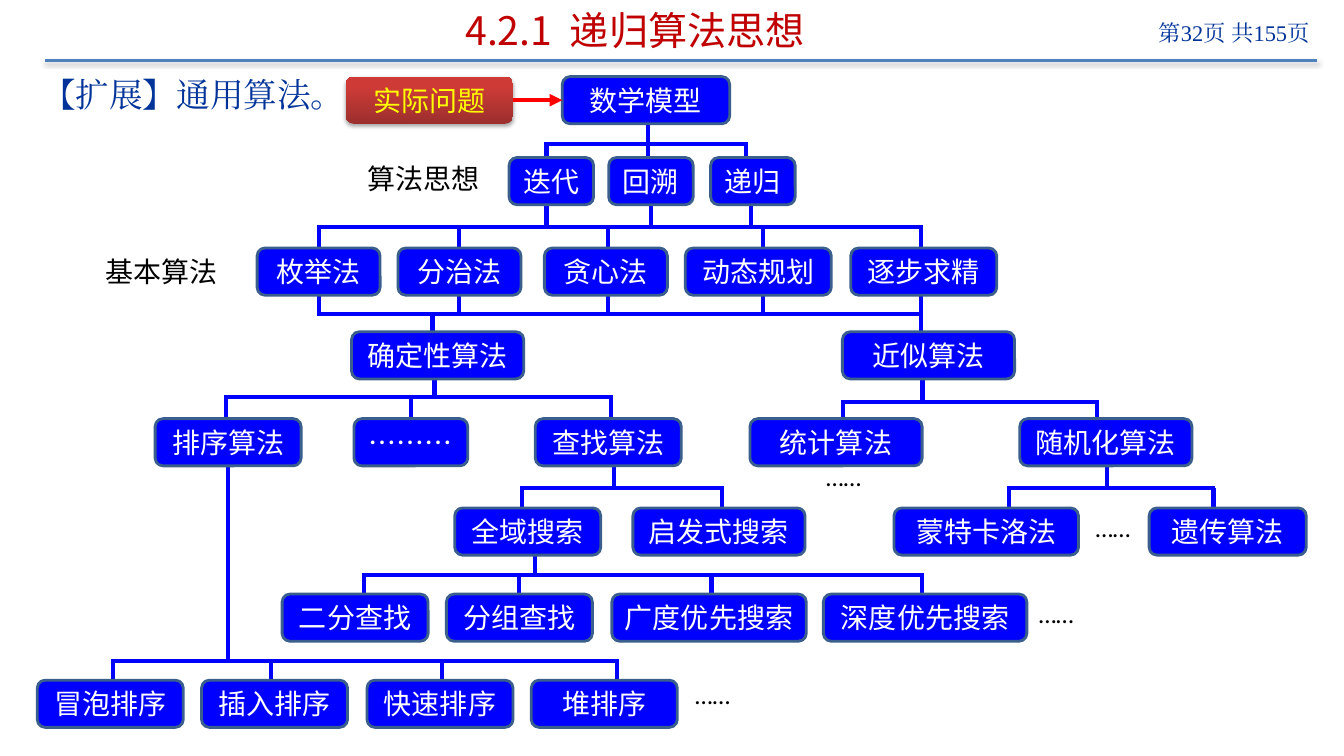
import lxml.etree
import pptx
import pptx.dml.color
import pptx.enum.shapes
import pptx.enum.text
import pptx.oxml.ns
import pptx.util
from dataclasses import dataclass

Cm = pptx.util.Cm
Pt = pptx.util.Pt
ALIGN = pptx.enum.text.PP_ALIGN
ANCHOR = pptx.enum.text.MSO_ANCHOR


@dataclass(frozen=True)
class Theme:
    heading: str = "C00000"
    navy: str = "003399"
    rule: str = "4F81BD"
    node: str = "0000FF"
    node_edge: str = "3A5F8C"
    node_text: str = "FFFFFF"
    problem_dark: str = "9C2F2D"
    problem_light: str = "CE3B37"
    problem_text: str = "FFFF00"
    arrow: str = "FF0000"
    ink: str = "000000"
    sans: str = "Noto Sans CJK SC"
    serif: str = "Times New Roman"
    dots: str = "Calibri"
    title_size: int = 28
    lead_size: int = 24
    node_size: int = 20
    dots_size: int = 18
    page_size: int = 16


THEME = Theme()

# All lengths below are centimetres.
TITLE = "4.2.1  递归算法思想"
PAGE = "第32页 共155页"
LEAD = "【扩展】通用算法。"
PROBLEM = "实际问题"
PROBLEM_LEFT, PROBLEM_WIDTH = 8.71, 4.22
NODE_HEIGHT = 1.19

# Row: top, then (text, left, width) of each node
ROWS = {
    "model": (1.93, [("数学模型", 14.17, 4.22)]),
    "ideas": (3.97, [("迭代", 12.83, 2.13), ("回溯", 15.34, 2.13), ("递归", 17.91, 2.13)]),
    "basics": (6.25, [("枚举法", 6.48, 3.1), ("分治法", 10.03, 3.1), ("贪心法", 13.72, 3.1),
                      ("动态规划", 17.27, 3.68), ("逐步求精", 21.44, 3.68)]),
    "classes": (8.36, [("确定性算法", 8.86, 4.34), ("近似算法", 21.23, 4.34)]),
    "families": (10.55, [("排序算法", 3.91, 3.68), ("………", 8.92, 2.87), ("查找算法", 13.49, 3.68),
                         ("统计算法", 18.9, 4.34), ("随机化算法", 25.7, 4.34)]),
    "searches": (12.8, [("全域搜索", 11.46, 3.68), ("启发式搜索", 15.95, 4.34),
                        ("蒙特卡洛法", 22.53, 4.65), ("遗传算法", 28.96, 3.96)]),
    "methods": (14.97, [("二分查找", 7.11, 3.68), ("分组查找", 11.25, 3.68),
                        ("广度优先搜索", 15.42, 4.9), ("深度优先搜索", 20.75, 5.13)]),
    "sorts": (17.14, [("冒泡排序", 0.94, 3.68), ("插入排序", 5.08, 3.68),
                      ("快速排序", 9.25, 3.68), ("堆排序", 13.39, 3.68)]),
}

BASIC_STEMS = [8.03, 11.56, 15.32, 19.23, 23.22]
# Branch: upper row, stems above the bar, bar height, lower row, stems below the bar
BRANCHES = [
    ("model", [16.33], 3.62, "ideas", [13.77, 16.33, 18.8]),
    ("ideas", [13.77, 16.41, 18.92], 5.72, "basics", BASIC_STEMS),
    ("basics", BASIC_STEMS, 7.92, "classes", [10.9, 23.22]),
    ("classes", [10.95], 10.01, "families", [5.7, 10.36, 15.4]),
    ("classes", [23.25], 10.13, "families", [21.25, 27.64]),
    ("families", [15.47], 12.29, "searches", [13.16, 18.19]),
    ("families", [27.9], 12.29, "searches", [25.43, 30.58]),
    ("searches", [13.49], 14.49, "methods", [9.17, 13.08, 17.93, 23.23]),
    ("families", [5.74], 16.66, "sorts", [2.84, 6.83, 11.13, 15.55]),
]
ROW_LABELS = [("算法思想", 8.99, 3.94), ("基本算法", 2.39, 6.3)]
MORE = "……"
MORE_SPOTS = [(27.36, 12.78), (20.57, 11.51), (25.93, 14.96), (17.27, 16.99)]


def rgb(color):
    return pptx.dml.color.RGBColor.from_string(color)


def write(frame, text, *, size, color, font=THEME.sans, align=ALIGN.LEFT,
          anchor=ANCHOR.TOP, wrap=True, side_margin=0.25):
    frame.word_wrap = wrap
    frame.vertical_anchor = anchor
    frame.margin_left = frame.margin_right = Cm(side_margin)
    paragraph = frame.paragraphs[0]
    paragraph.alignment = align
    run = paragraph.add_run()
    run.text = text
    run.font.size = Pt(size)
    run.font.name = font
    run.font.color.rgb = rgb(color)
    east_asian = lxml.etree.SubElement(run.font._element, pptx.oxml.ns.qn("a:ea"))
    east_asian.set("typeface", font)


def label(slide, text, left, top, width, height, **style):
    box = slide.shapes.add_textbox(Cm(left), Cm(top), Cm(width), Cm(height))
    write(box.text_frame, text, **style)


def set_shadow(shape, opacity=None, distance=0):
    """Give the shape a soft downward shadow, or none without an opacity."""
    qn = pptx.oxml.ns.qn
    properties = shape._element.spPr
    for old in properties.findall(qn("a:effectLst")):
        properties.remove(old)
    effects = lxml.etree.SubElement(properties, qn("a:effectLst"))
    if opacity:
        shadow = lxml.etree.SubElement(effects, qn("a:outerShdw"), blurRad=str(Pt(3.1)),
                                       dist=str(Pt(distance)), dir="5400000", rotWithShape="0")
        black = lxml.etree.SubElement(shadow, qn("a:srgbClr"), val=THEME.ink)
        lxml.etree.SubElement(black, qn("a:alpha"), val=str(opacity * 1000))


def line(slide, x1, y1, x2, y2, color=THEME.node, width=3):
    connector = slide.shapes.add_connector(
        pptx.enum.shapes.MSO_CONNECTOR.STRAIGHT, Cm(x1), Cm(y1), Cm(x2), Cm(y2))
    connector.line.color.rgb = rgb(color)
    connector.line.width = Pt(width)
    set_shadow(connector)
    return connector


def node(slide, text, left, top, width, color=THEME.node_text):
    shape = slide.shapes.add_shape(pptx.enum.shapes.MSO_SHAPE.ROUNDED_RECTANGLE,
                                   Cm(left), Cm(top), Cm(width), Cm(NODE_HEIGHT))
    shape.shadow.inherit = False
    shape.fill.solid()
    shape.fill.fore_color.rgb = rgb(THEME.node)
    shape.line.color.rgb = rgb(THEME.node_edge)
    shape.line.width = Pt(2)
    write(shape.text_frame, text, size=THEME.node_size, color=color,
          align=ALIGN.CENTER, anchor=ANCHOR.MIDDLE, side_margin=0)
    return shape


def draw_header(slide):
    rule = line(slide, 1.14, 1.53, 33.2, 1.53, THEME.rule, 2)
    set_shadow(rule, opacity=38, distance=1.6)
    label(slide, PAGE, 27.51, 0.36, 5.74, 1.14, size=THEME.page_size,
          color=THEME.navy, font=THEME.serif, align=ALIGN.RIGHT)
    label(slide, TITLE, 1.96, 0.05, 28.09, 1.42, size=THEME.title_size,
          color=THEME.heading, align=ALIGN.CENTER, anchor=ANCHOR.MIDDLE)
    label(slide, LEAD, 0.81, 1.75, 8.1, 1.4, size=THEME.lead_size,
          color=THEME.navy, font=THEME.serif)


def draw_branch(slide, upper, stems_above, bar, lower, stems_below):
    for x in stems_above:
        line(slide, x, ROWS[upper][0] + NODE_HEIGHT, x, bar)
    for x in stems_below:
        line(slide, x, bar, x, ROWS[lower][0])
    stems = stems_above + stems_below
    line(slide, min(stems) - 0.05, bar, max(stems) + 0.05, bar)


def draw_problem(slide):
    top, [(_, model_left, _)] = ROWS["model"]
    problem = node(slide, PROBLEM, PROBLEM_LEFT, top, PROBLEM_WIDTH, THEME.problem_text)
    problem.line.fill.background()
    problem.fill.gradient()
    problem.fill.gradient_angle = 90
    dark, light = problem.fill.gradient_stops
    dark.color.rgb = rgb(THEME.problem_dark)
    light.color.rgb = rgb(THEME.problem_light)
    light.position = 0.8
    set_shadow(problem, opacity=35, distance=1.8)
    middle = top + NODE_HEIGHT / 2
    arrow = line(slide, PROBLEM_LEFT + PROBLEM_WIDTH, middle, model_left, middle, THEME.arrow)
    lxml.etree.SubElement(arrow.line._get_or_add_ln(),
                          pptx.oxml.ns.qn("a:tailEnd"), type="triangle")


def main():
    deck = pptx.Presentation()
    deck.slide_width, deck.slide_height = Cm(33.87), Cm(19.05)
    slide = deck.slides.add_slide(deck.slide_layouts[6])
    draw_header(slide)
    for branch in BRANCHES:
        draw_branch(slide, *branch)
    for top, nodes in ROWS.values():
        for text, left, width in nodes:
            node(slide, text, left, top, width)
    draw_problem(slide)
    for text, left, top in ROW_LABELS:
        label(slide, text, left, top, 3.35, 1.12, size=THEME.node_size,
              color=THEME.ink, align=ALIGN.CENTER, wrap=False)
    for left, top in MORE_SPOTS:
        label(slide, MORE, left, top, 1.4, 1.02, size=THEME.dots_size,
              color=THEME.ink, font=THEME.dots, wrap=False)
    deck.save("out.pptx")


if __name__ == "__main__":
    main()
